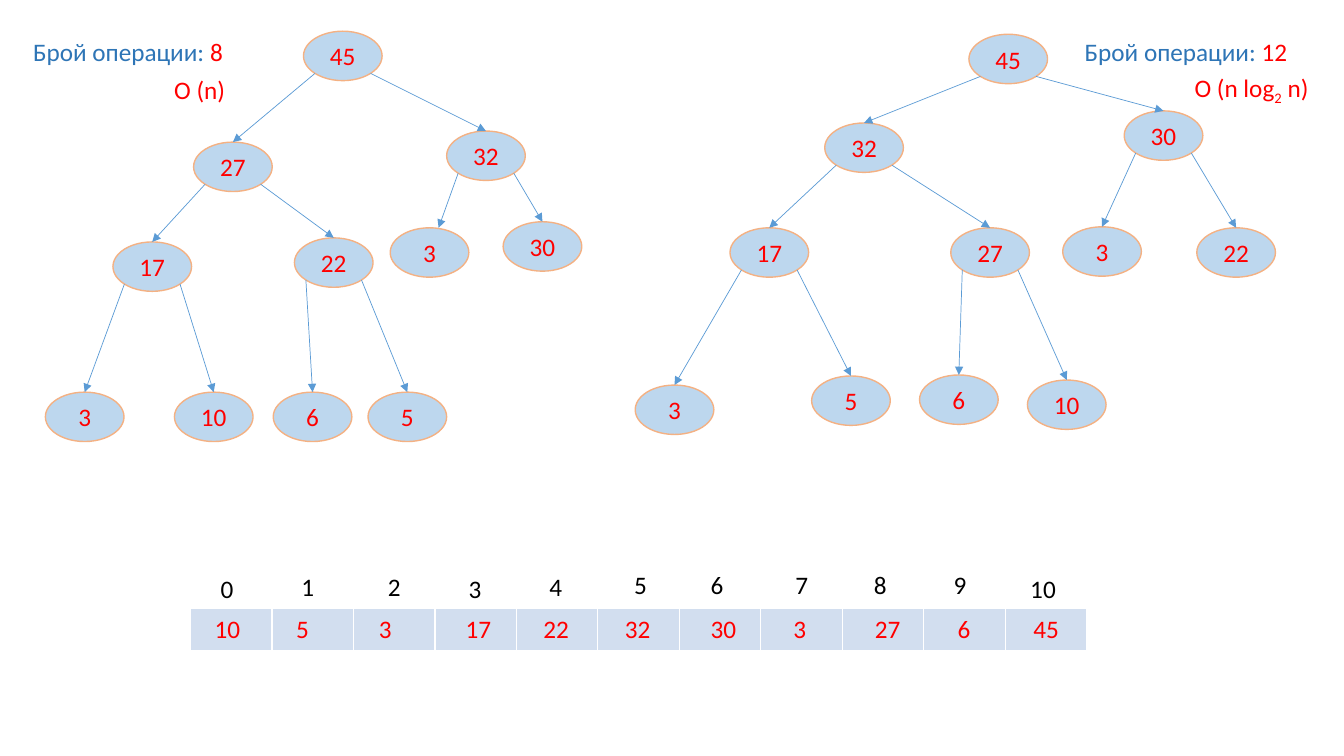
import pptx
import pptx.util
import pptx.dml.color
import pptx.enum.shapes
import pptx.enum.text
import pptx.oxml
import pptx.oxml.ns
import lxml.etree

RGB = pptx.dml.color.RGBColor
RED = RGB(0xFF, 0x00, 0x00)
BLACK = RGB(0x00, 0x00, 0x00)
BLUE = RGB(0x2E, 0x75, 0xB6)
SKY = RGB(0xBD, 0xD7, 0xEE)
PEACH = RGB(0xF4, 0xB1, 0x83)
ARROW = RGB(0x5B, 0x9B, 0xD5)
BAND = RGB(0xD2, 0xDE, 0xEF)

COLS, ROWS = 13.33, 7.5
NODE_W, NODE_H = 0.78, 0.49
DIAG = 0.5 ** 0.5 / 2


class Board:
    font = "Calibri"
    size = pptx.util.Pt(18)

    def __init__(self, deck):
        self.wide = deck.slide_width / COLS
        self.high = deck.slide_height / ROWS
        self.shapes = deck.slides.add_slide(deck.slide_layouts[6]).shapes

    def place(self, col, row):
        return round(col * self.wide), round(row * self.high)

    def box(self, col, row, wide, high):
        return *self.place(col, row), *self.place(wide, high)

    def style(self, para, color=None):
        para.font.name = self.font
        para.font.size = self.size
        if color is not None:
            para.font.color.rgb = color

    def label(self, col, row, wide, parts, color=None):
        frame = self.shapes.add_textbox(*self.box(col, row, wide, 0.4)).text_frame
        frame.word_wrap = True
        frame.auto_size = pptx.enum.text.MSO_AUTO_SIZE.SHAPE_TO_FIT_TEXT
        para = frame.paragraphs[0]
        self.style(para, color)
        for text, tint, base in parts:
            run = para.add_run()
            run.text = text
            if tint is not None:
                run.font.color.rgb = tint
            if base:
                run._r.get_or_add_rPr().set("baseline", str(base))

    def digit(self, col, row, value, color):
        wide = 0.21 + 0.13 * len(str(value))
        self.label(col, row, wide, [(str(value), None, 0)], color)

    def node(self, value, col, row):
        kind = pptx.enum.shapes.MSO_SHAPE.OVAL
        oval = self.shapes.add_shape(kind, *self.box(col, row, NODE_W, NODE_H))
        oval.shadow.inherit = False
        oval.fill.solid()
        oval.fill.fore_color.rgb = SKY
        oval.line.color.rgb = PEACH
        oval.line.width = pptx.util.Pt(1)
        frame = oval.text_frame
        frame.vertical_anchor = pptx.enum.text.MSO_ANCHOR.MIDDLE
        para = frame.paragraphs[0]
        para.text = str(value)
        para.alignment = pptx.enum.text.PP_ALIGN.CENTER
        self.style(para, RED)
        return oval

    def arrow(self, top, kid, side, shift):
        line = self.shapes.add_connector(
            pptx.enum.shapes.MSO_CONNECTOR.STRAIGHT,
            round(top.left + top.width * (0.5 + side * DIAG)),
            round(top.top + top.height * (0.5 + DIAG)),
            round(kid.left + kid.width / 2 + shift * self.wide),
            kid.top,
        )
        if not shift:
            line.end_connect(kid, 0)
        line.line.color.rgb = ARROW
        line.line.width = pptx.util.Pt(0.5)
        name = pptx.oxml.ns.qn
        edge = line.line._get_or_add_ln()
        lxml.etree.SubElement(edge, name("a:tailEnd"), type="triangle")
        lxml.etree.SubElement(line._element.spPr, name("a:effectLst"))

    def tree(self, heap, shifts):
        ovals = [self.node(*item) for item in heap]
        for spot in range(1, len(ovals)):
            side = -1 if spot % 2 else 1
            top = ovals[(spot - 1) // 2]
            self.arrow(top, ovals[spot], side, shifts.get(spot, 0))

    def strip(self, col, row, wide, high, count):
        area = self.box(col, row, wide, high)
        table = self.shapes.add_table(1, count, *area).table
        table.first_row = False
        table.horz_banding = False
        for cell in table.iter_cells():
            cell.fill.solid()
            cell.fill.fore_color.rgb = BAND


LEFT = [
    (45, 3.01, 0.31),
    (27, 1.92, 1.41), (32, 4.43, 1.3),
    (17, 1.12, 2.4), (22, 2.92, 2.36), (3, 3.87, 2.26), (30, 4.99, 2.2),
    (3, 0.45, 3.89), (10, 1.73, 3.89), (6, 2.71, 3.89), (5, 3.65, 3.89),
]
RIGHT = [
    (45, 9.61, 0.34),
    (32, 8.18, 1.22), (30, 11.15, 1.1),
    (17, 7.24, 2.26), (27, 9.43, 2.26), (3, 10.54, 2.25), (22, 11.87, 2.26),
    (3, 6.3, 3.82), (5, 8.05, 3.73), (6, 9.12, 3.72), (10, 10.19, 3.77),
]
MARKS = [
    (2.09, 5.64), (2.89, 5.62), (3.75, 5.62), (4.55, 5.64),
    (5.35, 5.62), (6.19, 5.6), (6.95, 5.6), (7.79, 5.6),
    (8.57, 5.6), (9.36, 5.6), (10.12, 5.64),
]
ITEMS = [
    (10, 2.03), (5, 2.84), (3, 3.66), (17, 4.52), (22, 5.29), (32, 6.1),
    (30, 6.95), (3, 7.77), (27, 8.58), (6, 9.4), (45, 10.15),
]
COUNT = "Брой операции: "

deck = pptx.Presentation()
deck.slide_width = pptx.util.Inches(COLS)
deck.slide_height = pptx.util.Inches(ROWS)
board = Board(deck)

board.strip(1.89, 6.04, 8.89, 0.41, len(ITEMS))
for index, (col, row) in enumerate(MARKS):
    board.digit(col, row, index, BLACK)
for value, col in ITEMS:
    board.digit(col, 6.04, value, RED)

board.tree(LEFT, {5: 0.09})
board.tree(RIGHT, {})

for col, wide, total in [(0.23, 3.97, "8"), (10.66, 2.3, "12")]:
    board.label(col, 0.31, wide, [(COUNT, BLUE, 0), (total, RED, 0)])
board.label(1.63, 0.69, 0.83, [("O (n)", None, 0)], RED)
log = [("O (n log", None, 0), ("2", None, -25000), (" n)", None, 0)]
board.label(11.75, 0.67, 1.43, log, RED)

deck.save("out.pptx")
